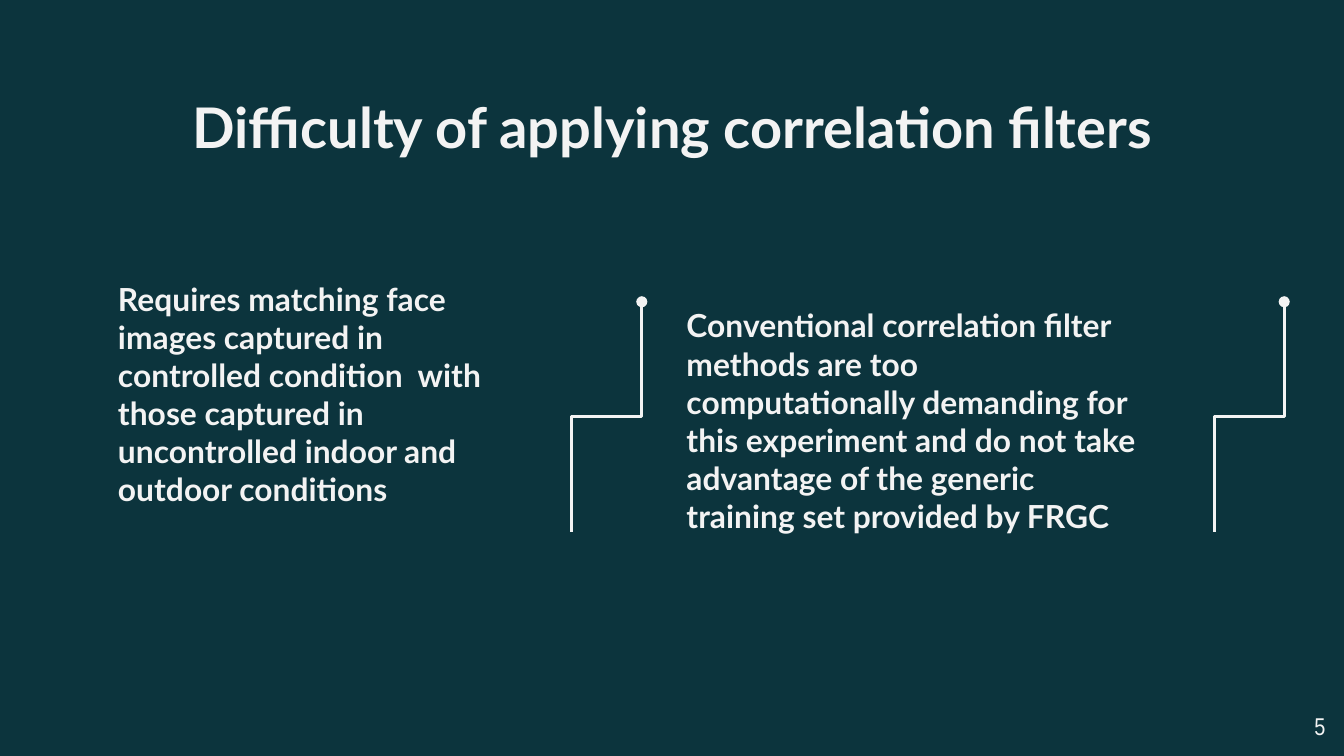
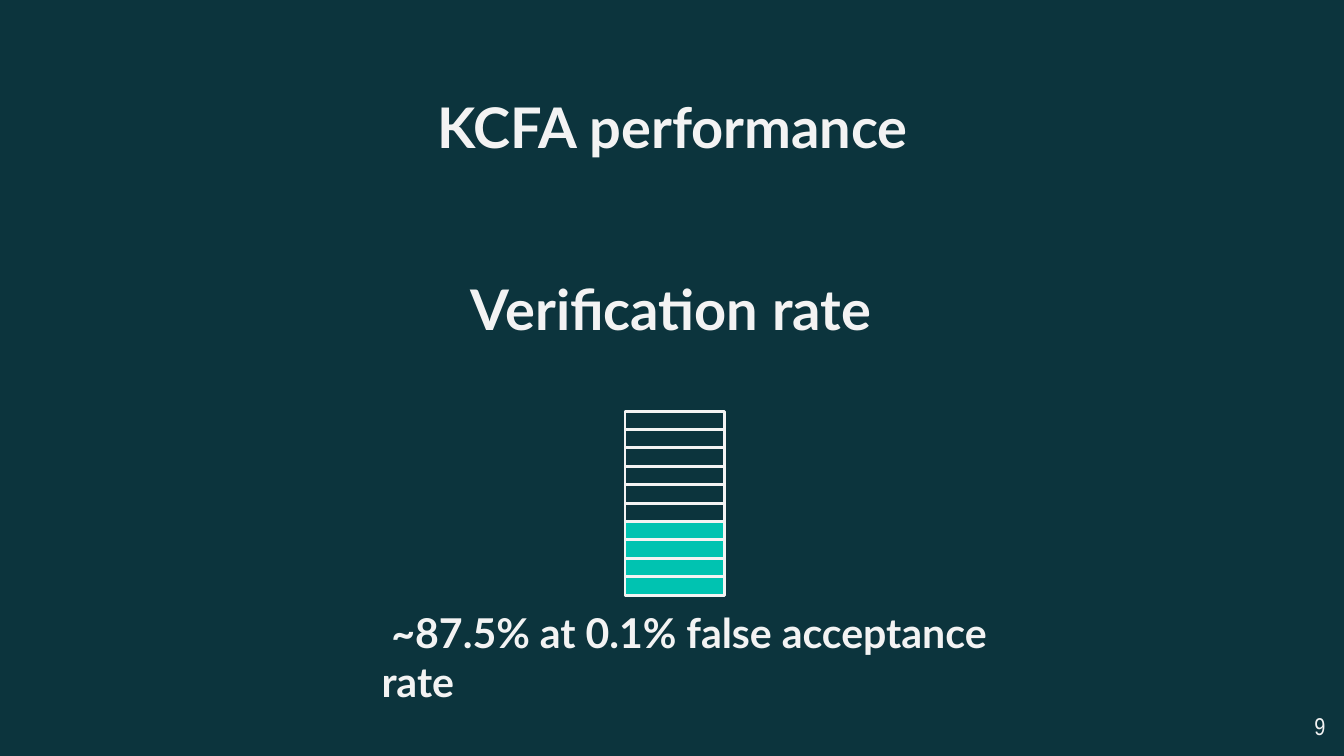
from pptx import Presentation
from pptx.dml.color import RGBColor
from pptx.enum.shapes import MSO_CONNECTOR as LINK, MSO_SHAPE as SHAPE
from pptx.enum.text import MSO_ANCHOR as ANCHOR, PP_ALIGN as ALIGN
from pptx.oxml.ns import qn
from pptx.util import Pt
from lxml.etree import SubElement

PX = 4572  # EMU per px, 200 px to the inch
INK, BACK, FILLED = "F3F3F3", "0C343D", "00C3B1"
INSET = 20


def color(hex_code):
    return RGBColor.from_string(hex_code)


def add_text(slide, text, left, top, width, height, *, size, font="Lato",
             bold=True, align=ALIGN.LEFT, anchor=ANCHOR.TOP):
    box = slide.shapes.add_textbox(left * PX, top * PX, width * PX, height * PX)
    frame = box.text_frame
    frame.word_wrap = True
    frame.vertical_anchor = anchor
    frame.margin_left = frame.margin_right = INSET * PX
    frame.margin_top = frame.margin_bottom = INSET * PX
    paragraph = frame.paragraphs[0]
    paragraph.alignment = align
    run = paragraph.add_run()
    run.text = text
    run.font.name, run.font.size, run.font.bold = font, Pt(size), bold
    run.font.color.rgb = color(INK)


deck = Presentation()
deck.slide_width, deck.slide_height = 2000 * PX, 1125 * PX

# Shared background, title and page number
pages = []
for title, number in (("Difficulty of applying correlation filters", "5"),
                      ("KCFA performance", "9")):
    page = deck.slides.add_slide(deck.slide_layouts[6])
    page.background.fill.solid()
    page.background.fill.fore_color.rgb = color(BACK)
    add_text(page, title, 158, 118, 1686, 126, size=30, align=ALIGN.CENTER)
    add_text(page, number, 1872, 1038, 120, 86, size=13, font="Arial Narrow",
             bold=False, align=ALIGN.RIGHT)
    pages.append(page)
difficulty, performance = pages

# Difficulties, each followed by a step line
difficulties = (
    ("Requires matching face images captured in controlled condition  with "
     "those captured in uncontrolled indoor and outdoor conditions",
     (156, 462, 646, 314), 732),
    ("Conventional correlation filter methods are too computationally "
     "demanding for this experiment and do not take advantage of the generic "
     "training set provided by FRGC",
     (1002, 376, 726, 440), 1688),
)
STEP_TOP, STEP_LENGTH, STEP_DEPTH = 568, 342, 104
for reason, place, step_left in difficulties:
    add_text(difficulty, reason, *place, size=17, anchor=ANCHOR.BOTTOM)
    step = difficulty.shapes.add_connector(
        LINK.ELBOW, step_left * PX, STEP_TOP * PX,
        (step_left + STEP_LENGTH) * PX, (STEP_TOP + STEP_DEPTH) * PX)
    step.line.color.rgb = color(INK)
    step.line.width = Pt(1.5)
    # Quarter turn to the left, dot at the end, no shadow
    properties = step._element.spPr
    properties.find(qn("a:xfrm")).set("rot", str(270 * 60000))
    SubElement(properties.find(qn("a:ln")), qn("a:tailEnd"), type="oval")
    SubElement(properties, qn("a:effectLst"))

# Verification rate
add_text(performance, "Verification rate", 622, 366, 754, 162, size=30,
         align=ALIGN.CENTER, anchor=ANCHOR.BOTTOM)
add_text(performance, " ~87.5% at 0.1% false acceptance rate",
         548, 914, 1018, 126, size=22, anchor=ANCHOR.MIDDLE)

# Gauge, filled from the bottom
CELLS, FULL_CELLS = 10, 4
GAUGE_TOP, GAUGE_HEIGHT = 612, 274
for i in range(CELLS):
    top = GAUGE_TOP + GAUGE_HEIGHT * i // CELLS
    bottom = GAUGE_TOP + GAUGE_HEIGHT * (i + 1) // CELLS
    cell = performance.shapes.add_shape(
        SHAPE.RECTANGLE, 930 * PX, top * PX, 148 * PX, (bottom - top) * PX)
    cell.shadow.inherit = False
    cell.line.color.rgb = color(INK)
    cell.line.width = Pt(1.5)
    if i < CELLS - FULL_CELLS:
        cell.fill.background()
    else:
        cell.fill.solid()
        cell.fill.fore_color.rgb = color(FILLED)

deck.save("out.pptx")
